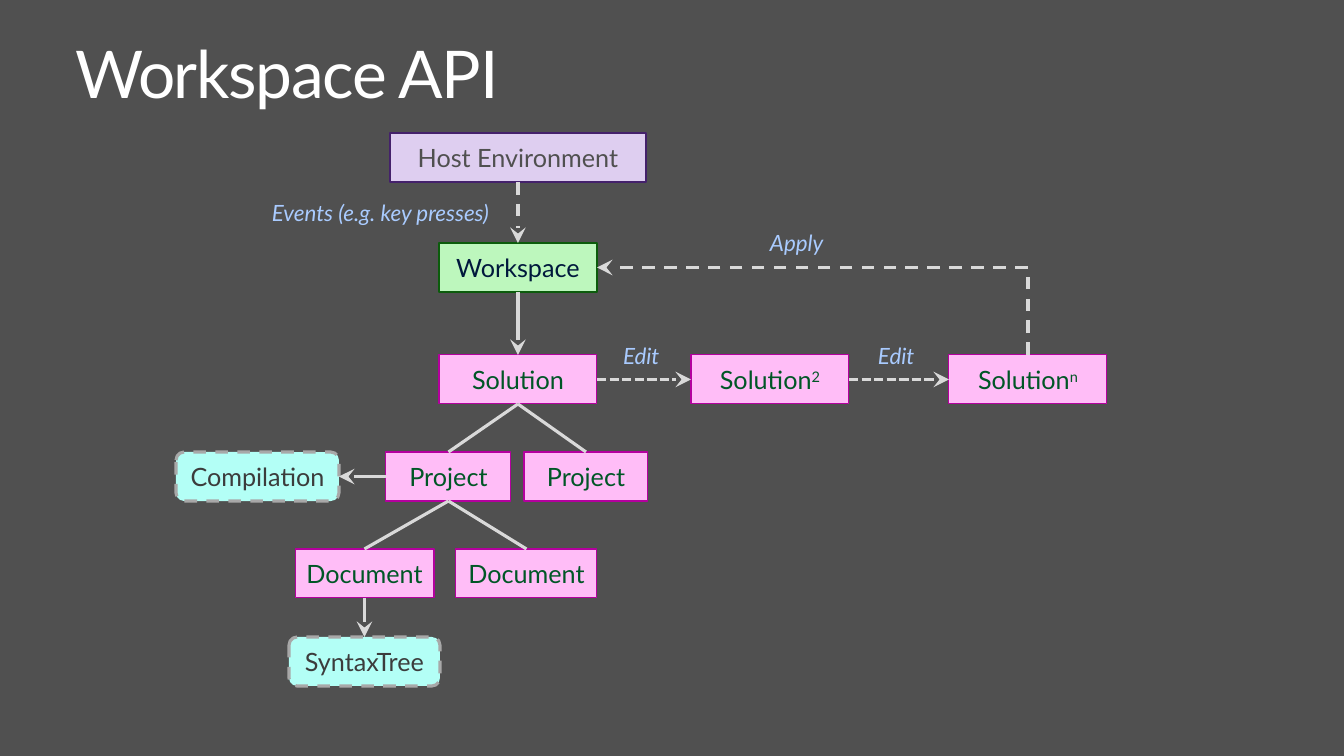
import pptx
import pptx.dml.color
import pptx.enum.dml
import pptx.enum.shapes
import pptx.enum.text
import pptx.oxml
import pptx.oxml.ns
import pptx.util

EMU_PER_PX = 914400 / 100.8
FONT = "Lato"
BOX_HEIGHT = 49
TOP, LEFT, BOTTOM, RIGHT = range(4)
DASH = pptx.enum.dml.MSO_LINE.DASH
SHORT_DASH = pptx.enum.dml.MSO_LINE.SQUARE_DOT
RECTANGLE = pptx.enum.shapes.MSO_SHAPE.RECTANGLE
ROUNDED = pptx.enum.shapes.MSO_SHAPE.ROUNDED_RECTANGLE

STYLES = {
    "host": (RECTANGLE, "DECEF0", "44216B", 0.85, None, "505050"),
    "workspace": (RECTANGLE, "BDF7BD", "0C5C0C", 0.85, None, "00183C"),
    "model": (RECTANGLE, "FFBDF7", "B4009E", 0.75, None, "005626"),
    "compiler": (ROUNDED, "B3FFF6", "A8A8A8", 2.25, DASH, "3C3C3C"),
}

NODES = {
    "host": ("host", "Host Environment", "", 214, 0, 256),
    "workspace": ("workspace", "Workspace", "", 263, 110, 158),
    "solution": ("model", "Solution", "", 263, 222, 158),
    "solution 2": ("model", "Solution", "2", 515, 222, 158),
    "solution n": ("model", "Solution", "n", 773, 222, 158),
    "compilation": ("compiler", "Compilation", "", 0, 319, 163),
    "project 1": ("model", "Project", "", 210, 319, 125),
    "project 2": ("model", "Project", "", 348, 319, 124),
    "document 1": ("model", "Document", "", 119, 416, 139),
    "document 2": ("model", "Document", "", 280, 416, 141),
    "syntax tree": ("compiler", "SyntaxTree", "", 113, 504, 151),
}

LINKS = [
    ("host", BOTTOM, "workspace", TOP, DASH, True),
    ("workspace", BOTTOM, "solution", TOP, None, True),
    ("solution", RIGHT, "solution 2", LEFT, SHORT_DASH, True),
    ("solution 2", RIGHT, "solution n", LEFT, SHORT_DASH, True),
    ("solution", BOTTOM, "project 1", TOP, None, False),
    ("solution", BOTTOM, "project 2", TOP, None, False),
    ("project 1", LEFT, "compilation", RIGHT, None, True),
    ("project 1", BOTTOM, "document 1", TOP, None, False),
    ("project 1", BOTTOM, "document 2", TOP, None, False),
    ("document 1", BOTTOM, "syntax tree", TOP, None, True),
]

LABELS = [
    ("Events (e.g. key presses)", 96, 66, 232),
    ("Apply", 594, 96, 60),
    ("Edit", 447, 209, 44),
    ("Edit", 702, 209, 44),
]


def px(length):
    """Turn pixels into EMU."""
    return pptx.util.Emu(round(length * EMU_PER_PX))


def color(value):
    """Turn a hex string into a colour."""
    return pptx.dml.color.RGBColor.from_string(value)


def format_run(run, size, value):
    """Set the font, size and colour of a run."""
    run.font.name = FONT
    run.font.size = pptx.util.Pt(size)
    run.font.color.rgb = color(value)


def set_margins(text_frame, horizontal, vertical):
    """Set the inner margins of a text frame."""
    text_frame.margin_left = text_frame.margin_right = px(horizontal)
    text_frame.margin_top = text_frame.margin_bottom = px(vertical)


def format_line(line, value, width, dash):
    """Set the colour, width and dash of a line."""
    line.color.rgb = color(value)
    line.width = pptx.util.Pt(width)
    if dash is not None:
        line.dash_style = dash


def add_title(slide, box):
    """Move and format the title placeholder."""
    title = slide.shapes.title
    title.left, title.top, title.width, title.height = map(px, box)
    text_frame = title.text_frame
    text_frame.text = "Workspace API"
    text_frame.vertical_anchor = pptx.enum.text.MSO_ANCHOR.TOP
    text_frame.auto_size = pptx.enum.text.MSO_AUTO_SIZE.NONE
    set_margins(text_frame, 16, 10)
    paragraph = text_frame.paragraphs[0]
    paragraph.alignment = pptx.enum.text.PP_ALIGN.LEFT
    paragraph.line_spacing = 0.9
    run = paragraph.runs[0]
    format_run(run, 47, "FFFFFF")
    run.font._element.set("spc", "-100")


def add_node(slide, style, text, superscript, left, top, width):
    """Add one labelled box and return it."""
    kind, fill, line_color, line_width, dash, text_color = STYLES[style]
    shape = slide.shapes.add_shape(kind, px(left), px(top), px(width), px(BOX_HEIGHT))
    shape.shadow.inherit = False
    shape.fill.solid()
    shape.fill.fore_color.rgb = color(fill)
    format_line(shape.line, line_color, line_width, dash)
    text_frame = shape.text_frame
    text_frame.text = text
    text_frame.vertical_anchor = pptx.enum.text.MSO_ANCHOR.MIDDLE
    set_margins(text_frame, 10, 5)
    paragraph = text_frame.paragraphs[0]
    paragraph.alignment = pptx.enum.text.PP_ALIGN.CENTER
    if superscript:
        run = paragraph.add_run()
        run.text = superscript
        run.font._element.set("baseline", "30000")
    for run in paragraph.runs:
        format_run(run, 18, text_color)
    return shape


def add_link(slide, start, start_site, end, end_site, dash, arrow,
             kind=pptx.enum.shapes.MSO_CONNECTOR.STRAIGHT):
    """Connect two boxes and return the connector."""
    connector = slide.shapes.add_connector(kind, 0, 0, 0, 0)
    connector.begin_connect(start, start_site)
    connector.end_connect(end, end_site)
    format_line(connector.line, "D9D9D9", 2.25, dash)
    if arrow:
        line = connector.line._get_or_add_ln()
        tail = pptx.oxml.parse_xml(
            f'<a:tailEnd {pptx.oxml.ns.nsdecls("a")} type="stealth" w="lg" len="lg"/>')
        line.append(tail)
    effects = pptx.oxml.parse_xml(f'<a:effectLst {pptx.oxml.ns.nsdecls("a")}/>')
    connector._element.spPr.append(effects)
    return connector


def add_apply_link(slide, start, end):
    """Add the bent arrow that goes up from one box and left into another."""
    connector = add_link(slide, start, TOP, end, RIGHT, DASH, True,
                         pptx.enum.shapes.MSO_CONNECTOR.ELBOW)
    run, rise = connector.width, connector.height
    center_x, center_y = connector.left + run // 2, connector.top + rise // 2
    connector.left, connector.top = center_x - rise // 2, center_y - run // 2
    connector.width, connector.height = rise, run
    properties = connector._element.spPr
    properties.find(pptx.oxml.ns.qn("a:prstGeom")).set("prst", "bentConnector2")
    transform = properties.find(pptx.oxml.ns.qn("a:xfrm"))
    transform.set("rot", "16200000")
    transform.set("flipH", "0")
    transform.set("flipV", "1")


def add_label(slide, text, left, top, width):
    """Add one italic caption beside an arrow."""
    label = slide.shapes.add_textbox(px(left), px(top), px(width), px(27))
    text_frame = label.text_frame
    text_frame.text = text
    text_frame.word_wrap = True
    text_frame.auto_size = pptx.enum.text.MSO_AUTO_SIZE.NONE
    set_margins(text_frame, 0, 0)
    run = text_frame.paragraphs[0].runs[0]
    format_run(run, 16, "A9CBFF")
    run.font.italic = True


def add_diagram(slide, left, top):
    """Draw the workspace diagram from its top left corner."""
    nodes = {}
    for name, (style, text, superscript, x, y, width) in NODES.items():
        nodes[name] = add_node(slide, style, text, superscript, left + x, top + y, width)
    for start, start_site, end, end_site, dash, arrow in LINKS:
        add_link(slide, nodes[start], start_site, nodes[end], end_site, dash, arrow)
    add_apply_link(slide, nodes["solution n"], nodes["workspace"])
    for text, x, y, width in LABELS:
        add_label(slide, text, left + x, top + y, width)


def main():
    """Build the slide and save it."""
    presentation = pptx.Presentation()
    presentation.slide_width, presentation.slide_height = px(1344), px(756)
    slide = presentation.slides.add_slide(presentation.slide_layouts[5])
    slide.background.fill.solid()
    slide.background.fill.fore_color.rgb = color("505050")
    add_title(slide, (59, 32, 1285, 99))
    add_diagram(slide, 176, 133)
    presentation.save("out.pptx")


if __name__ == "__main__":
    main()
